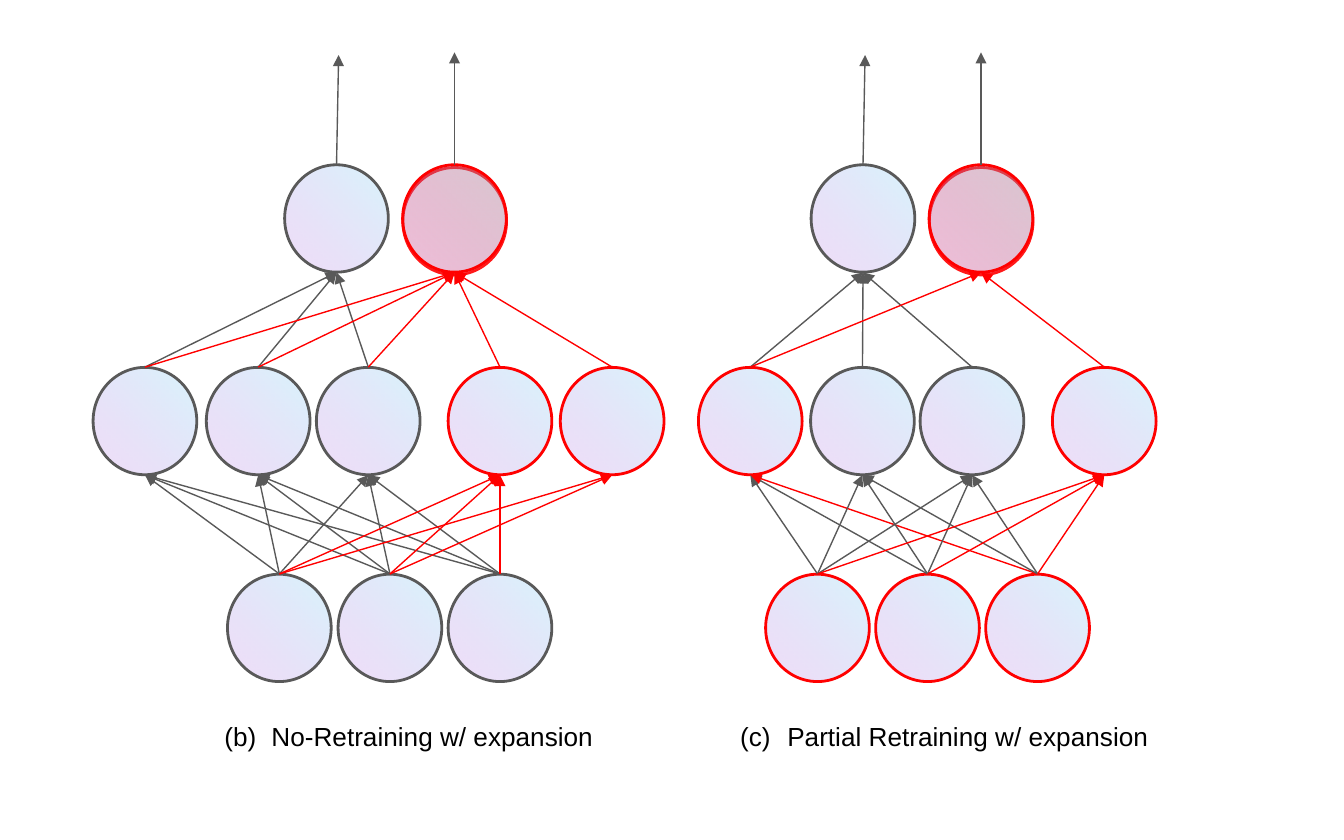
import pptx
import pptx.dml.color
import pptx.enum.shapes
import pptx.enum.text
import pptx.oxml
import pptx.oxml.ns
import pptx.util
from pptx.util import Cm

COLORS = {"grey": "595959", "red": "FF0000", "blue": "69D4F4",
          "purple": "9F39D5", "black": "000000"}
LINK_COLORS = {"g": "grey", "r": "red"}

# Layer centres and node size, in centimetres
LAYER_Y = {"input": 11.87, "hidden": 7.96, "output": 4.13}
NODE_WIDTH, NODE_HEIGHT = 2.03, 1.96
REACH = 1.02  # from a node's centre to the ends of its links
ARROW_TOPS = [1.04, 0.99]

CAPTION_FRAME = {
    "word_wrap": True,
    "auto_size": pptx.enum.text.MSO_AUTO_SIZE.SHAPE_TO_FIT_TEXT,
    "margin_left": Cm(0.25), "margin_right": Cm(0.25),
    "margin_top": Cm(0.25), "margin_bottom": Cm(0.25),
}
CAPTION_FONT = {"name": "Arial", "size": pptx.util.Pt(14)}

# Layers list node centres; node and link strings hold g (grey) or r (red).
# Links have one string per target node, with one letter per source node.
NETWORKS = [
    {
        "input": ([5.28, 7.37, 9.45], "ggg"),
        "hidden": ([2.74, 4.88, 6.96, 9.45, 11.57], "gggrr"),
        "output": ([6.36, 8.59], "gr"),
        "hidden_links": ["ggg", "ggg", "ggg", "rrr", "rr-"],
        "output_links": ["ggg--", "rrrrr"],
        "caption": ("No-Retraining w/ expansion", 2, 3.61, 8.05),
    },
    {
        "input": ([15.45, 17.53, 19.61], "rrr"),
        "hidden": ([14.18, 16.3, 18.37, 20.87], "rggr"),
        "output": ([16.31, 18.54], "gr"),
        "hidden_links": ["ggr", "ggg", "ggg", "rrr"],
        "output_links": ["ggg-", "r--r"],
        "caption": ("Partial Retraining w/ expansion", 3, 13.36, 8.71),
    },
]


def rgb(name):
    return pptx.dml.color.RGBColor.from_string(COLORS[name])


def add_xml(parent, xml):
    """Append a DrawingML element, written without its namespace."""
    tag, rest = xml.split(" ", 1)
    namespace = pptx.oxml.ns.nsdecls("a")
    parent.append(pptx.oxml.parse_xml(f"{tag} {namespace} {rest}"))


def set_attributes(target, values):
    for name, value in values.items():
        setattr(target, name, value)


def add_node(slide, x, y, color, glowing):
    """Add a neuron; a glowing one casts a red shadow."""
    shape = slide.shapes.add_shape(
        pptx.enum.shapes.MSO_SHAPE.OVAL,
        Cm(x - NODE_WIDTH / 2), Cm(y - NODE_HEIGHT / 2),
        Cm(NODE_WIDTH), Cm(NODE_HEIGHT))
    shape.rotation = 270
    shape.fill.gradient()
    shape.fill.gradient_angle = 135
    for stop, name, opacity in zip(shape.fill.gradient_stops,
                                   ("blue", "purple"), (26, 17)):
        stop.color.rgb = rgb(name)
    color_elements = shape.element.spPr.findall(
        ".//" + pptx.oxml.ns.qn("a:srgbClr"))
    for element, opacity in zip(color_elements, (26, 17)):
        add_xml(element, f'<a:alpha val="{opacity * 1000}"/>')
    shape.line.color.rgb = rgb(color)
    shape.line.width = pptx.util.Pt(1.5)
    shape.shadow.inherit = False
    if glowing:
        effects = shape.element.spPr.find(pptx.oxml.ns.qn("a:effectLst"))
        add_xml(effects,
                '<a:outerShdw blurRad="0" dist="19050" dir="5100000" '
                'algn="bl" rotWithShape="0">'
                f'<a:srgbClr val="{COLORS["red"]}"><a:alpha val="89000"/>'
                '</a:srgbClr></a:outerShdw>')


def add_arrow(slide, start, end, color):
    connector = slide.shapes.add_connector(
        pptx.enum.shapes.MSO_CONNECTOR.STRAIGHT,
        *(Cm(value) for value in (*start, *end)))
    connector.line.color.rgb = rgb(color)
    connector.line.width = pptx.util.Pt(0.75)
    add_xml(connector.line._get_or_add_ln(), '<a:tailEnd type="triangle"/>')
    add_xml(connector._element.spPr, '<a:effectLst />')


def add_layer(slide, network, layer):
    centers, colors = network[layer]
    for x, color in zip(centers, colors):
        glowing = layer == "output" and color == "r"
        add_node(slide, x, LAYER_Y[layer], LINK_COLORS[color], glowing)


def add_links(slide, network, source, target):
    """Connect the tops of one layer to the bottoms of the next."""
    for end_x, row in zip(network[target][0], network[target + "_links"]):
        for start_x, letter in zip(network[source][0], row):
            if letter in LINK_COLORS:
                add_arrow(slide, (start_x, LAYER_Y[source] - REACH),
                          (end_x, LAYER_Y[target] + REACH),
                          LINK_COLORS[letter])


def add_caption(slide, text, number, left, width):
    box = slide.shapes.add_textbox(Cm(left), Cm(13.36), Cm(width), Cm(1.12))
    set_attributes(box.text_frame, CAPTION_FRAME)
    paragraph = box.text_frame.paragraphs[0]
    properties = paragraph._p.get_or_add_pPr()
    properties.set("marL", str(Cm(1.27)))
    properties.set("indent", str(-Cm(0.89)))
    add_xml(properties,
            f'<a:buClr ><a:srgbClr val="{COLORS["black"]}"/></a:buClr>')
    add_xml(properties, '<a:buFont typeface="Arial"/>')
    add_xml(properties,
            f'<a:buAutoNum type="alphaLcParenBoth" startAt="{number}"/>')
    run = paragraph.add_run()
    run.text = text
    set_attributes(run.font, CAPTION_FONT)
    run.font.color.rgb = rgb("black")


def add_network(slide, network):
    # Neurons
    for layer in LAYER_Y:
        add_layer(slide, network, layer)
    # Links between layers
    add_links(slide, network, "input", "hidden")
    add_links(slide, network, "hidden", "output")
    # Output arrows, the first leaning slightly right
    for x, top, lean in zip(network["output"][0], ARROW_TOPS, (0.04, 0)):
        add_arrow(slide, (x, LAYER_Y["output"] - REACH), (x + lean, top), "grey")
    add_caption(slide, *network["caption"])


def main():
    presentation = pptx.Presentation()
    presentation.slide_width = Cm(25.4)
    presentation.slide_height = Cm(15.88)
    slide = presentation.slides.add_slide(presentation.slide_layouts[6])
    for network in NETWORKS:
        add_network(slide, network)
    presentation.save("out.pptx")


if __name__ == "__main__":
    main()
